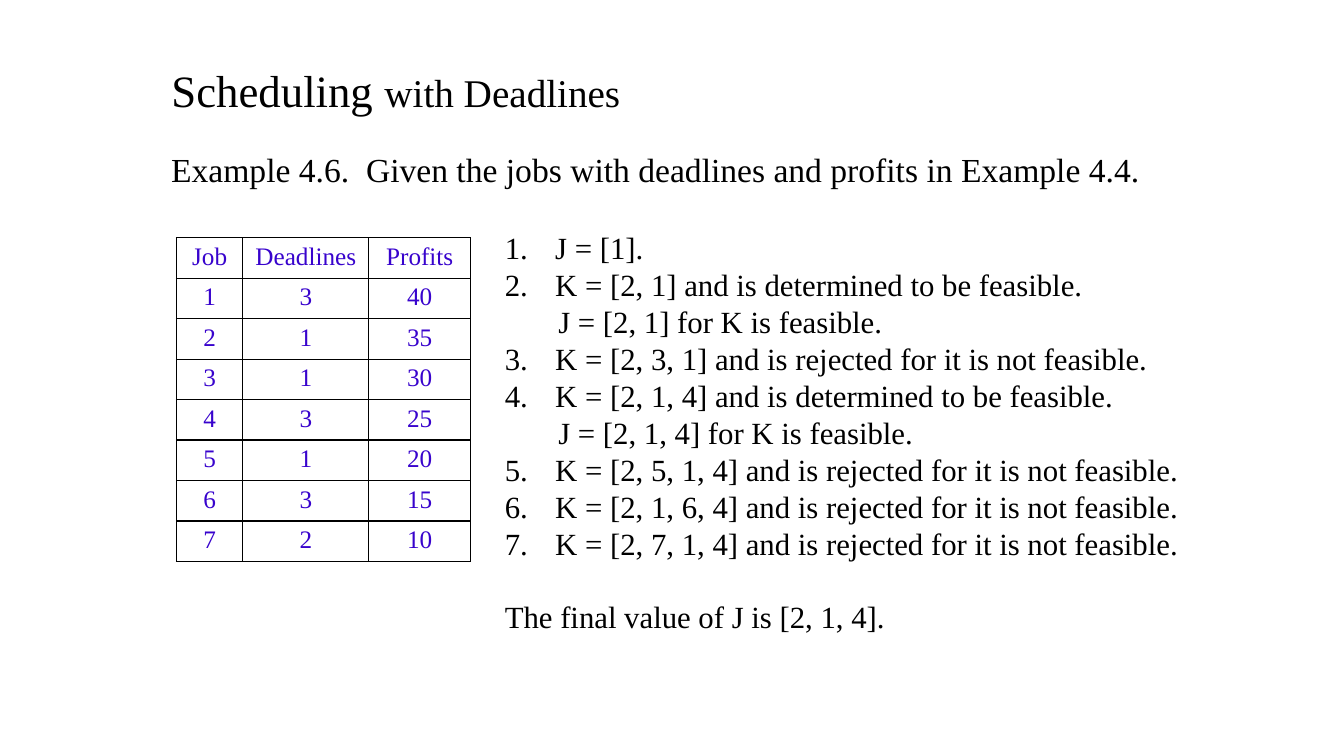
from lxml import etree
from pptx import Presentation
from pptx.dml.color import RGBColor
from pptx.enum.text import MSO_ANCHOR, MSO_AUTO_SIZE, PP_ALIGN
from pptx.oxml.ns import qn
from pptx.util import Pt

FONT = "Times New Roman"
BLACK, WHITE, VIOLET = "000000", "FFFFFF", "3803CD"
LINE_FACTOR = 1.2
NUMBER_INDENT, RESULT_INDENT = 36, 38.2

JOBS = [
    ("Job", "Deadlines", "Profits"),
    (1, 3, 40),
    (2, 1, 35),
    (3, 1, 30),
    (4, 3, 25),
    (5, 1, 20),
    (6, 3, 15),
    (7, 2, 10),
]
COLUMN_WIDTHS = [47.5, 90, 72.7]
ROW_HEIGHT = 28.9

# Each step: where its numbered run starts (None for an unnumbered result), text
STEPS = [
    (1, "J = [1]."),
    (1, "K = [2, 1] and is determined to be feasible."),
    (None, "J = [2, 1] for K is feasible."),
    (3, "K = [2, 3, 1] and is rejected for it is not feasible."),
    (3, "K = [2, 1, 4] and is determined to be feasible."),
    (None, "J = [2, 1, 4] for K is feasible."),
    (5, "K = [2, 5, 1, 4] and is rejected for it is not feasible."),
    (5, "K = [2, 1, 6, 4] and is rejected for it is not feasible."),
    (5, "K = [2, 7, 1, 4] and is rejected for it is not feasible."),
]


def add_run(paragraph, text, size, color=BLACK):
    run = paragraph.add_run()
    run.text = text
    run.font.name = FONT
    run.font.size = Pt(size)
    run.font.color.rgb = RGBColor.from_string(color)


def set_frame(frame):
    formats = {"word_wrap": True, "auto_size": MSO_AUTO_SIZE.NONE,
               "vertical_anchor": MSO_ANCHOR.TOP}
    for name, value in formats.items():
        setattr(frame, name, value)
    return frame


presentation = Presentation()
presentation.slide_width, presentation.slide_height = Pt(960), Pt(540)
slide = presentation.slides.add_slide(presentation.slide_layouts[5])

# Title
title = slide.shapes.title
title.left, title.top, title.width, title.height = Pt(115.2), Pt(41), Pt(440.6), Pt(46)
heading = set_frame(title.text_frame).paragraphs[0]
heading.alignment = PP_ALIGN.LEFT
heading.line_spacing = Pt(32 * LINE_FACTOR)
add_run(heading, "Scheduling ", 32)
add_run(heading, "with Deadlines", 28)

# Example statement
example_box = slide.shapes.add_textbox(Pt(115.2), Pt(103), Pt(710.6), Pt(36))
example = set_frame(example_box.text_frame).paragraphs[0]
example.line_spacing = Pt(24 * LINE_FACTOR)
add_run(example, "Example 4.6.  Given the jobs with deadlines and profits in Example 4.4.", 24)

# Jobs table
jobs = slide.shapes.add_table(
    len(JOBS), len(COLUMN_WIDTHS), Pt(126), Pt(169.9),
    Pt(sum(COLUMN_WIDTHS)), Pt(ROW_HEIGHT * len(JOBS))).table
for column, width in zip(jobs.columns, COLUMN_WIDTHS):
    column.width = Pt(width)
for r, values in enumerate(JOBS):
    jobs.rows[r].height = Pt(ROW_HEIGHT)
    for c, value in enumerate(values):
        cell = jobs.cell(r, c)
        entry = cell.text_frame.paragraphs[0]
        entry.alignment = PP_ALIGN.CENTER
        add_run(entry, str(value), 18, VIOLET)
        properties = cell._tc.get_or_add_tcPr()
        for side in ("a:lnL", "a:lnR", "a:lnT", "a:lnB"):
            border = etree.SubElement(properties, qn(side), w=str(Pt(1)))
            paint = etree.SubElement(border, qn("a:solidFill"))
            etree.SubElement(paint, qn("a:srgbClr"), val=BLACK)
        cell.fill.solid()
        cell.fill.fore_color.rgb = RGBColor.from_string(WHITE)

# Steps and final value
steps_box = slide.shapes.add_textbox(Pt(353.5), Pt(159.8), Pt(499), Pt(300))
steps = set_frame(steps_box.text_frame)
step_pitch = 22 * LINE_FACTOR
for i, (start, text) in enumerate(STEPS):
    step = steps.add_paragraph() if i else steps.paragraphs[0]
    step.line_spacing = Pt(step_pitch)
    layout = step._p.get_or_add_pPr()
    if start is None:
        layout.set("marL", str(Pt(RESULT_INDENT)))
    else:
        layout.set("marL", str(Pt(NUMBER_INDENT)))
        layout.set("indent", str(-Pt(NUMBER_INDENT)))
        etree.SubElement(layout, qn("a:buAutoNum"), type="arabicPeriod", startAt=str(start))
    add_run(step, text, 22)

final = steps.add_paragraph()
final.line_spacing = Pt(step_pitch)
final.space_before = Pt(step_pitch)
add_run(final, "The final value of J is [2, 1, 4].", 22)

presentation.save("out.pptx")
